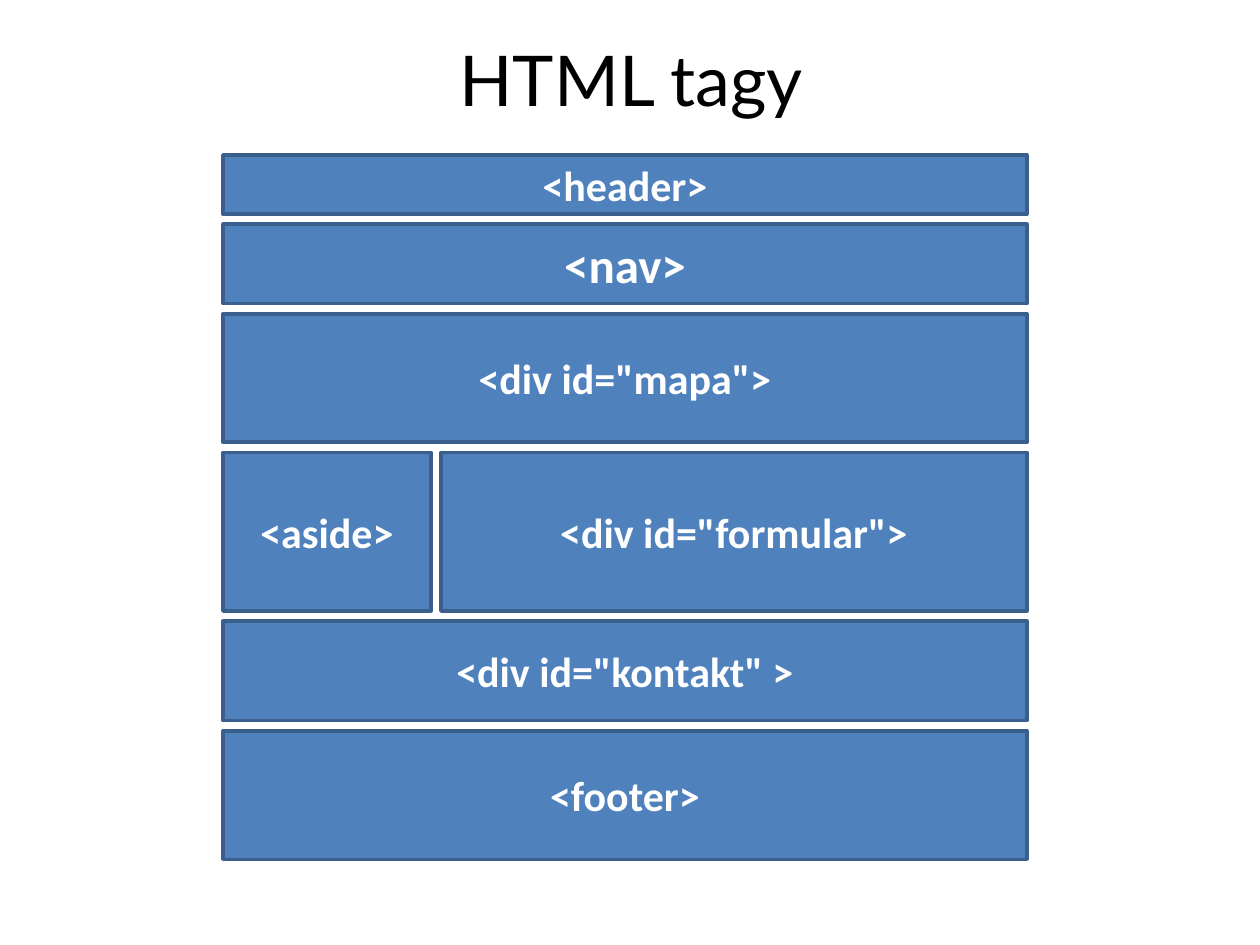
from dataclasses import dataclass

from pptx import Presentation
from pptx import util as u
from pptx.dml.color import RGBColor
from pptx.enum import shapes, text

HUES = {"fill": "4F81BD", "line": "3A5F8C", "label": "FFFFFF", "title": "000000"}
LEFT, TOP, WIDTH, GAP = 1.77, 1.23, 6.38, 0.08


@dataclass
class Cell:
    label: str
    width: float = WIDTH
    size: int = 24


@dataclass
class Row:
    height: float
    cells: list[Cell]


# Page layout, from top to bottom
ROWS = [
    Row(0.47, [Cell("<header>")]),
    Row(0.63, [Cell("<nav>", size=28)]),
    Row(1.02, [Cell('<div id="mapa">')]),
    Row(1.26, [Cell("<aside>", 1.65), Cell('<div id="formular">', 4.65)]),
    Row(0.79, [Cell('<div id="kontakt" >')]),
    Row(1.02, [Cell("<footer>")]),
]


def hue(name: str) -> RGBColor:
    return RGBColor.from_string(HUES[name])


def write(shape, words: str, size: int, face: str, tint: str, bold: bool) -> None:
    frame = shape.text_frame
    frame.word_wrap = True
    frame.vertical_anchor = text.MSO_ANCHOR.MIDDLE
    para = frame.paragraphs[0]
    para.alignment = text.PP_ALIGN.CENTER
    run = para.add_run()
    run.text = words
    font = run.font
    font.size, font.name, font.bold = u.Pt(size), face, bold
    font.color.rgb = hue(tint)


def draw(slide, cell: Cell, left: float, top: float, height: float) -> None:
    box = slide.shapes.add_shape(
        shapes.MSO_SHAPE.RECTANGLE,
        u.Inches(left), u.Inches(top), u.Inches(cell.width), u.Inches(height))
    box.shadow.inherit = False
    box.fill.solid()
    box.fill.fore_color.rgb = hue("fill")
    box.line.color.rgb = hue("line")
    box.line.width = u.Pt(2)
    write(box, cell.label, cell.size, "Calibri", "label", True)


def main() -> None:
    deck = Presentation()
    deck.slide_width, deck.slide_height = u.Inches(10), u.Inches(7.5)
    slide = deck.slides.add_slide(deck.slide_layouts[6])

    # Title
    title = slide.shapes.add_textbox(
        u.Inches(0.51), u.Inches(0), u.Inches(9), u.Inches(1.25))
    write(title, "HTML tagy", 40, "Lato", "title", False)

    # Tag boxes, stacked with equal gaps
    top = TOP
    for row in ROWS:
        left = LEFT
        for cell in row.cells:
            draw(slide, cell, left, top, row.height)
            left += cell.width + GAP
        top += row.height + GAP

    deck.save("out.pptx")


if __name__ == "__main__":
    main()
